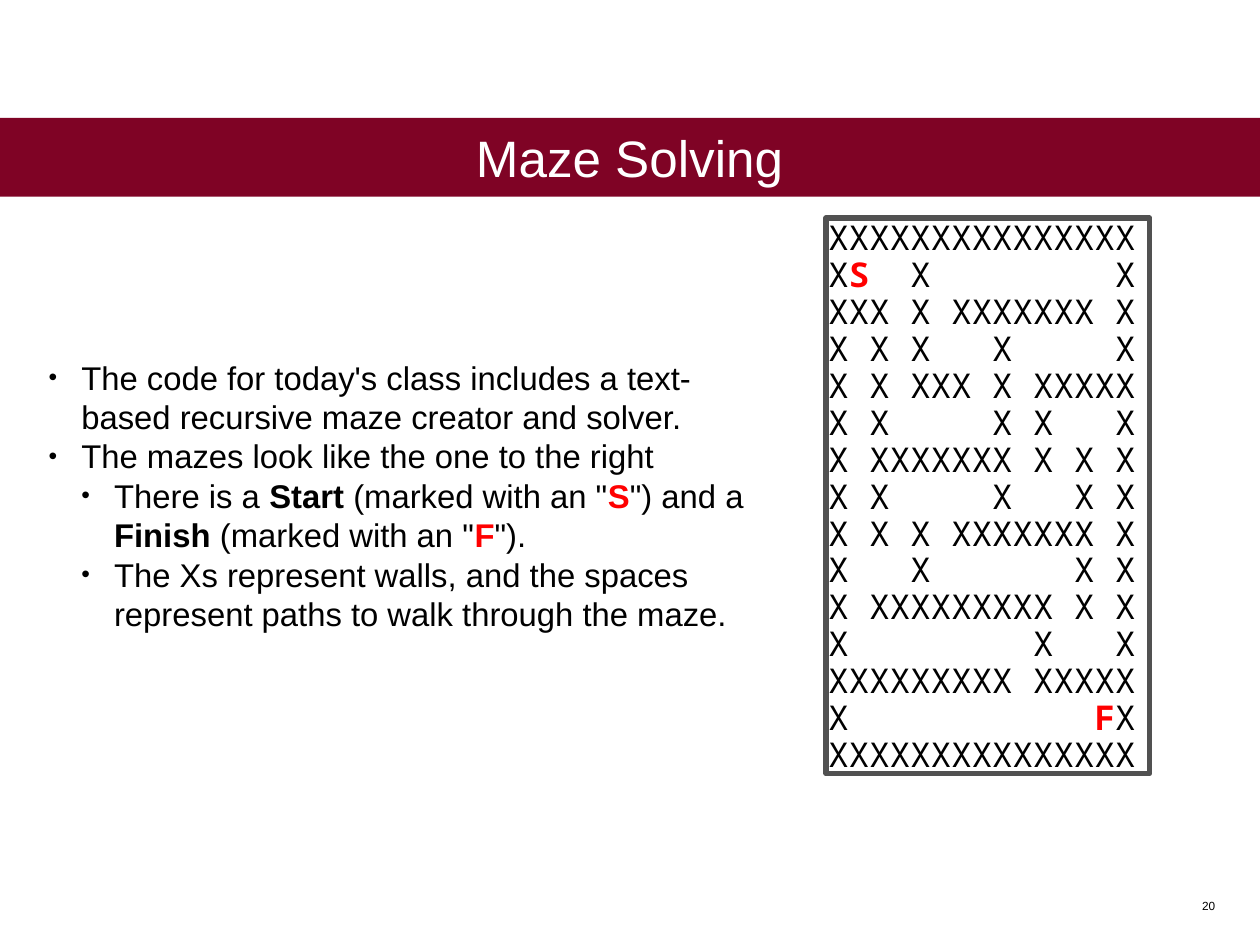
from lxml import etree
from pptx import Presentation
from pptx.dml.color import RGBColor
from pptx.enum.text import MSO_ANCHOR, MSO_AUTO_SIZE, PP_ALIGN
from pptx.oxml.ns import qn
from pptx.util import Inches, Pt

MIDDLE, TOP = MSO_ANCHOR.MIDDLE, MSO_ANCHOR.TOP
CENTER, LEFT, RIGHT = PP_ALIGN.CENTER, PP_ALIGN.LEFT, PP_ALIGN.RIGHT
NO_AUTOSIZE = MSO_AUTO_SIZE.NONE

MAROON, WHITE, BLACK, RED, GRAY = "7F0325", "FFFFFF", "000000", "FF0000", "515151"
SANS, MONO = "Arial", "Noto Sans Mono"
HANGING = 0.52

BULLETS = [
    (0, [("The code for today's class includes a text-based recursive maze "
          "creator and solver.", False, BLACK)]),
    (0, [("The mazes look like the one to the right", False, BLACK)]),
    (1, [("There is a ", False, BLACK), ("Start", True, BLACK),
         (' (marked with an "', False, BLACK), ("S", True, RED),
         ('") and a ', False, BLACK), ("Finish", True, BLACK),
         (' (marked with an "', False, BLACK), ("F", True, RED),
         ('").', False, BLACK)]),
    (1, [("The Xs represent walls, and the spaces represent paths to walk "
          "through the maze.", False, BLACK)]),
]

MAZE = """\
XXXXXXXXXXXXXXX
XS  X         X
XXX X XXXXXXX X
X X X   X     X
X X XXX X XXXXX
X X     X X   X
X XXXXXXX X X X
X X     X   X X
X X X XXXXXXX X
X   X       X X
X XXXXXXXXX X X
X         X   X
XXXXXXXXX XXXXX
X            FX
XXXXXXXXXXXXXXX"""


def color(value):
    return RGBColor.from_string(value)


def place(shape, left, top, width, height):
    shape.left, shape.top = Inches(left), Inches(top)
    shape.width, shape.height = Inches(width), Inches(height)


def set_frame(shape, anchor, inset=0.04, wrap=True):
    frame = shape.text_frame
    frame.auto_size = NO_AUTOSIZE
    frame.word_wrap = wrap
    frame.vertical_anchor = anchor
    frame.margin_left = frame.margin_right = Inches(inset)
    frame.margin_top = frame.margin_bottom = Inches(inset)
    return frame


def add_run(paragraph, text, size, font_name, font_color=BLACK, bold=False):
    run = paragraph.add_run()
    run.text = text
    run.font.size = Pt(size)
    run.font.name = font_name
    run.font.bold = bold
    run.font.color.rgb = color(font_color)


def next_paragraph(frame, index):
    return frame.add_paragraph() if index else frame.paragraphs[0]


def set_bullet(paragraph, level):
    paragraph.level = level
    properties = paragraph._p.get_or_add_pPr()
    properties.set("marL", str(Inches(HANGING * (level + 1))))
    properties.set("indent", str(-Inches(HANGING)))
    etree.SubElement(properties, qn("a:buSzPct"), val="75000")
    etree.SubElement(properties, qn("a:buChar"), char="•")


def format_title(title):
    place(title, -0.05, 1.87, 20.09, 1.25)
    title.fill.solid()
    title.fill.fore_color.rgb = color(MAROON)
    paragraph = set_frame(title, MIDDLE).paragraphs[0]
    paragraph.alignment = CENTER
    add_run(paragraph, "Maze Solving", 58.5, SANS, WHITE)


def format_body(body):
    place(body, 0.73, 5.61, 11.64, 4.5)
    frame = set_frame(body, MIDDLE)
    for index, (level, runs) in enumerate(BULLETS):
        paragraph = next_paragraph(frame, index)
        set_bullet(paragraph, level)
        paragraph.alignment = LEFT
        paragraph.space_before = Pt(0)
        paragraph.line_spacing = Pt(45)
        for text, bold, font_color in runs:
            add_run(paragraph, text, 37.5, SANS, font_color, bold)


def split_marker(row):
    for marker in "SF":
        if marker in row:
            return row.partition(marker)
    return (row,)


def add_maze(slide):
    box = slide.shapes.add_textbox(Inches(13.11), Inches(3.46), Inches(5.14), Inches(8.82))
    box.line.color.rgb = color(GRAY)
    box.line.width = Pt(6)
    frame = set_frame(box, TOP)
    for index, row in enumerate(MAZE.splitlines()):
        paragraph = next_paragraph(frame, index)
        paragraph.line_spacing = Pt(42.2)
        for text in split_marker(row):
            is_marker = text in ("S", "F")
            add_run(paragraph, text, 39, MONO, RED if is_marker else BLACK, is_marker)


def add_page_number(slide):
    box = slide.shapes.add_textbox(Inches(19.03), Inches(14.21), Inches(0.32), Inches(0.34))
    paragraph = set_frame(box, TOP, inset=0.06, wrap=False).paragraphs[0]
    paragraph.alignment = RIGHT
    add_run(paragraph, "20", 13.5, SANS)


def main():
    presentation = Presentation()
    presentation.slide_width = Inches(20)
    presentation.slide_height = Inches(15)
    slide = presentation.slides.add_slide(presentation.slide_layouts[1])
    format_title(slide.shapes.title)
    format_body(slide.placeholders[1])
    add_maze(slide)
    add_page_number(slide)
    presentation.save("out.pptx")


if __name__ == "__main__":
    main()
